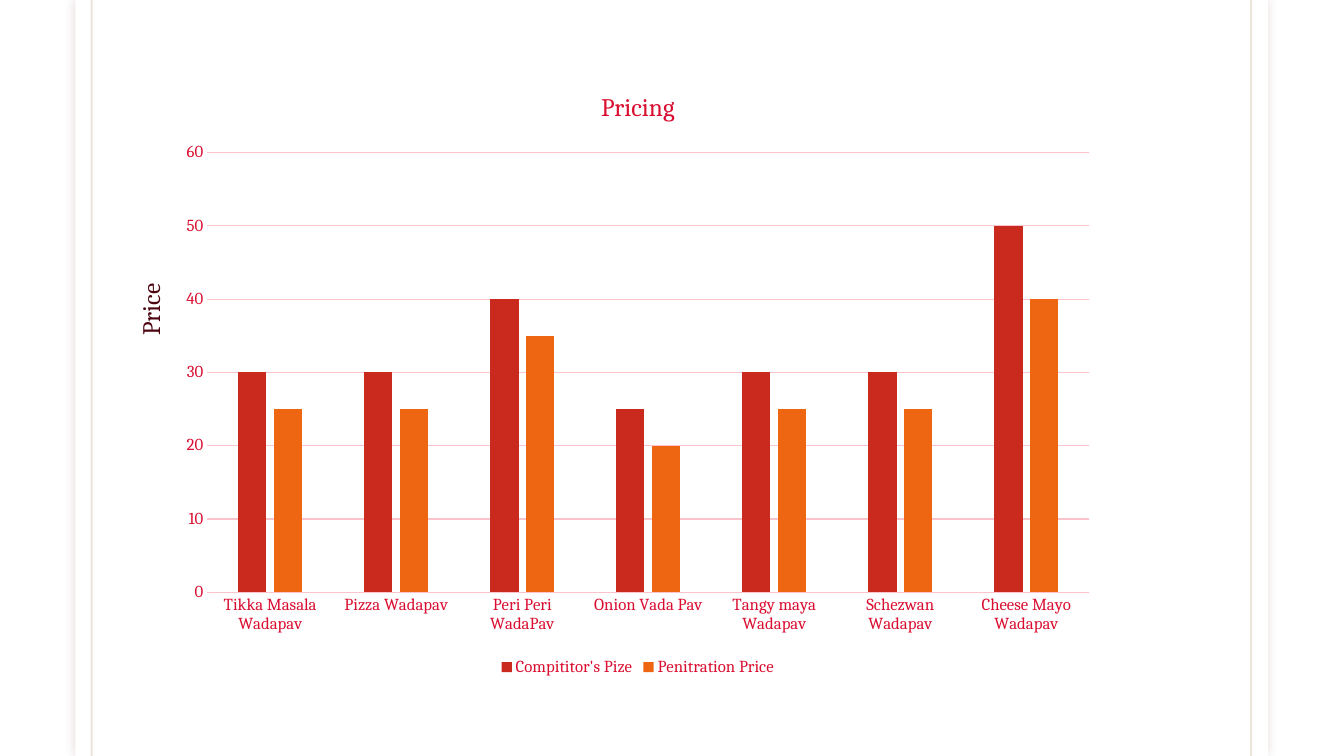
from lxml.etree import SubElement
from pptx import Presentation
from pptx.chart.data import CategoryChartData
from pptx.dml.color import RGBColor
from pptx.enum.chart import XL_CHART_TYPE, XL_LEGEND_POSITION, XL_TICK_MARK
from pptx.enum.shapes import MSO_CONNECTOR, MSO_SHAPE
from pptx.enum.text import MSO_AUTO_SIZE
from pptx.oxml.ns import qn
from pptx.util import Cm, Pt

FONT = "Cambria"
RED = "DA0E30"
DARK = "4D0511"
PINK = "FBC3CC"
SLIDE_HEIGHT = 19.05
ITEMS = ["Tikka Masala Wadapav", "Pizza Wadapav", "Peri Peri WadaPav", "Onion Vada Pav",
         "Tangy maya Wadapav", "Schezwan Wadapav", "Cheese Mayo Wadapav"]
PRICES = [
    ("Compititor's Pize", "CA2A1E", [30, 30, 40, 25, 30, 30, 50]),
    ("Penitration Price", "EE6612", [25, 25, 35, 20, 25, 25, 40]),
]


def colour(value):
    return RGBColor.from_string(value)


def apply_format(target, values):
    for name, value in values.items():
        setattr(target, name, value)


def format_font(font, size, value):
    apply_format(font, {"name": FONT, "size": Pt(size), "bold": False})
    font.color.rgb = colour(value)


def format_line(line, width, value):
    line.width = Pt(width)
    line.color.rgb = colour(value)


def set_alpha(parent, percent):
    for element in parent.iter(qn("a:srgbClr")):
        SubElement(element, qn("a:alpha"), val=str(percent * 1000))


def add_panel(slide):
    shape = slide.shapes.add_shape(MSO_SHAPE.RECTANGLE, Cm(1.9), 0, Cm(30.05), Cm(SLIDE_HEIGHT))
    shape.shadow.inherit = False
    shape.fill.solid()
    shape.fill.fore_color.rgb = colour("FFFFFF")
    shape.line.fill.background()
    effects = shape._element.spPr.find(qn("a:effectLst"))
    shadow = SubElement(effects, qn("a:outerShdw"), blurRad=str(Pt(7)), dist="0", dir="0",
                        algn="ctr", rotWithShape="0")
    SubElement(shadow, qn("a:srgbClr"), val="65150F")
    set_alpha(shadow, 15)


def add_rule(slide, left):
    connector = slide.shapes.add_connector(
        MSO_CONNECTOR.STRAIGHT, Cm(left), 0, Cm(left), Cm(SLIDE_HEIGHT))
    format_line(connector.line, 1.5, "79540B")
    properties = connector._element.spPr
    set_alpha(properties, 15)
    SubElement(properties, qn("a:effectLst"))


def format_axes(chart):
    for axis in (chart.category_axis, chart.value_axis):
        apply_format(axis, {"major_tick_mark": XL_TICK_MARK.NONE,
                            "minor_tick_mark": XL_TICK_MARK.NONE})
        format_font(axis.tick_labels.font, 12, RED)
    format_line(chart.category_axis.format.line, 0.75, PINK)
    value_axis = chart.value_axis
    apply_format(value_axis, {"minimum_scale": 0, "maximum_scale": 60, "major_unit": 10,
                              "has_major_gridlines": True})
    value_axis.format.line.fill.background()
    format_line(value_axis.major_gridlines.format.line, 0.75, PINK)


def add_price_chart(slide):
    data = CategoryChartData()
    data.categories = ITEMS
    for name, _, values in PRICES:
        data.add_series(name, values)
    chart = slide.shapes.add_chart(XL_CHART_TYPE.COLUMN_CLUSTERED, Cm(4.22), Cm(1.73),
                                   Cm(23.7), Cm(15.42), data).chart
    format_font(chart.font, 10, DARK)
    apply_format(chart, {"has_title": True, "has_legend": True})
    title = chart.chart_title
    title.include_in_layout = False
    title.text_frame.text = "Pricing"
    format_font(title.text_frame.paragraphs[0].runs[0].font, 18, RED)
    apply_format(chart.legend, {"position": XL_LEGEND_POSITION.BOTTOM, "include_in_layout": False})
    format_font(chart.legend.font, 12, RED)
    plot = chart.plots[0]
    apply_format(plot, {"gap_width": 219, "overlap": -27, "vary_by_categories": False})
    for series, (_, fill, _) in zip(plot.series, PRICES):
        series.format.fill.solid()
        series.format.fill.fore_color.rgb = colour(fill)
    format_axes(chart)


def add_axis_label(slide, text):
    box = slide.shapes.add_textbox(Cm(2.49), Cm(6.91), Cm(2.59), Cm(1.02))
    box.rotation = 270
    apply_format(box.text_frame, {"text": text, "word_wrap": True,
                                  "auto_size": MSO_AUTO_SIZE.SHAPE_TO_FIT_TEXT})
    format_font(box.text_frame.paragraphs[0].runs[0].font, 18, DARK)


def main():
    presentation = Presentation()
    apply_format(presentation, {"slide_width": Cm(33.86), "slide_height": Cm(SLIDE_HEIGHT)})
    slide = presentation.slides.add_slide(presentation.slide_layouts[6])
    add_panel(slide)
    for left in (2.31, 31.52):
        add_rule(slide, left)
    add_price_chart(slide)
    add_axis_label(slide, "Price")
    presentation.save("out.pptx")


if __name__ == "__main__":
    main()
